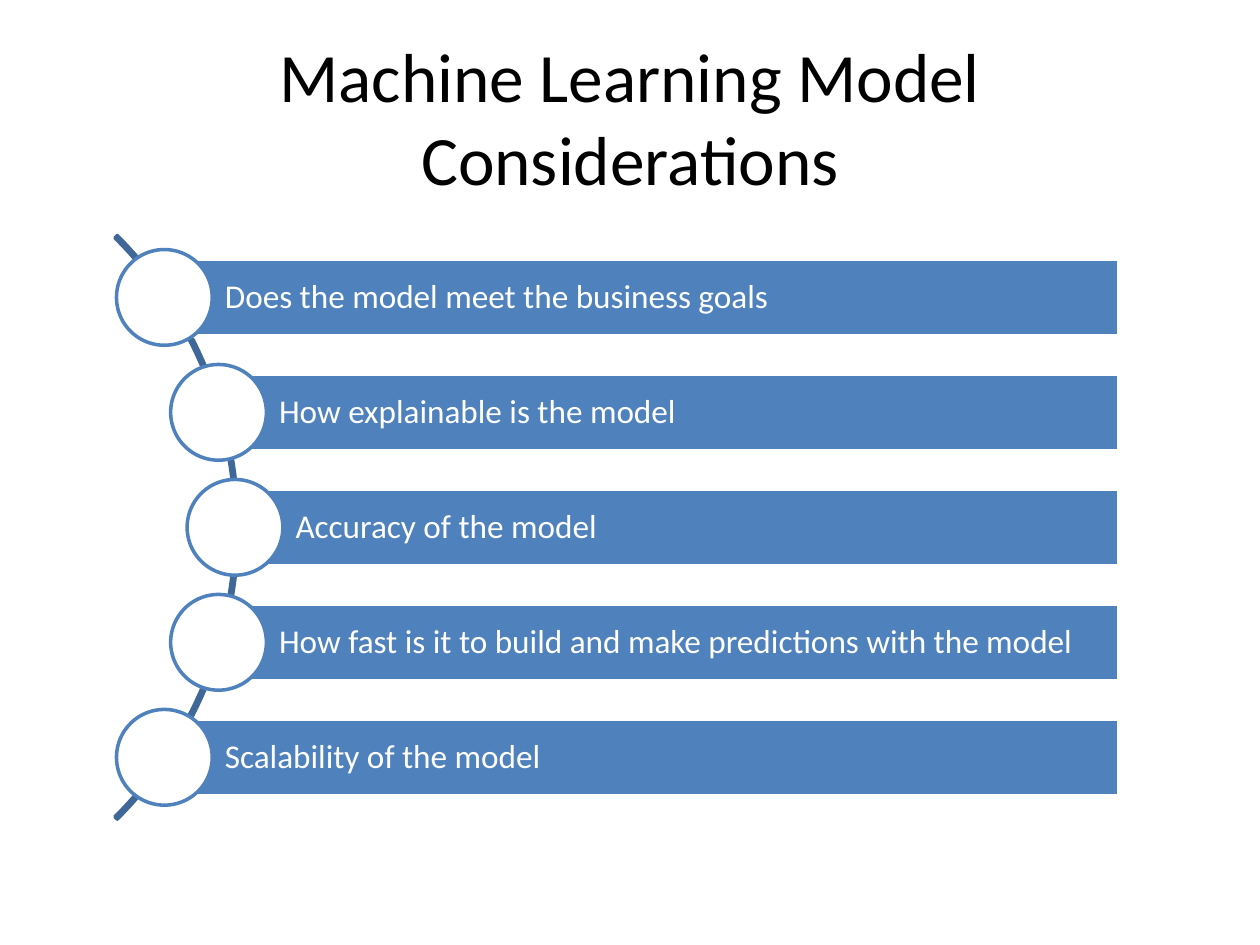
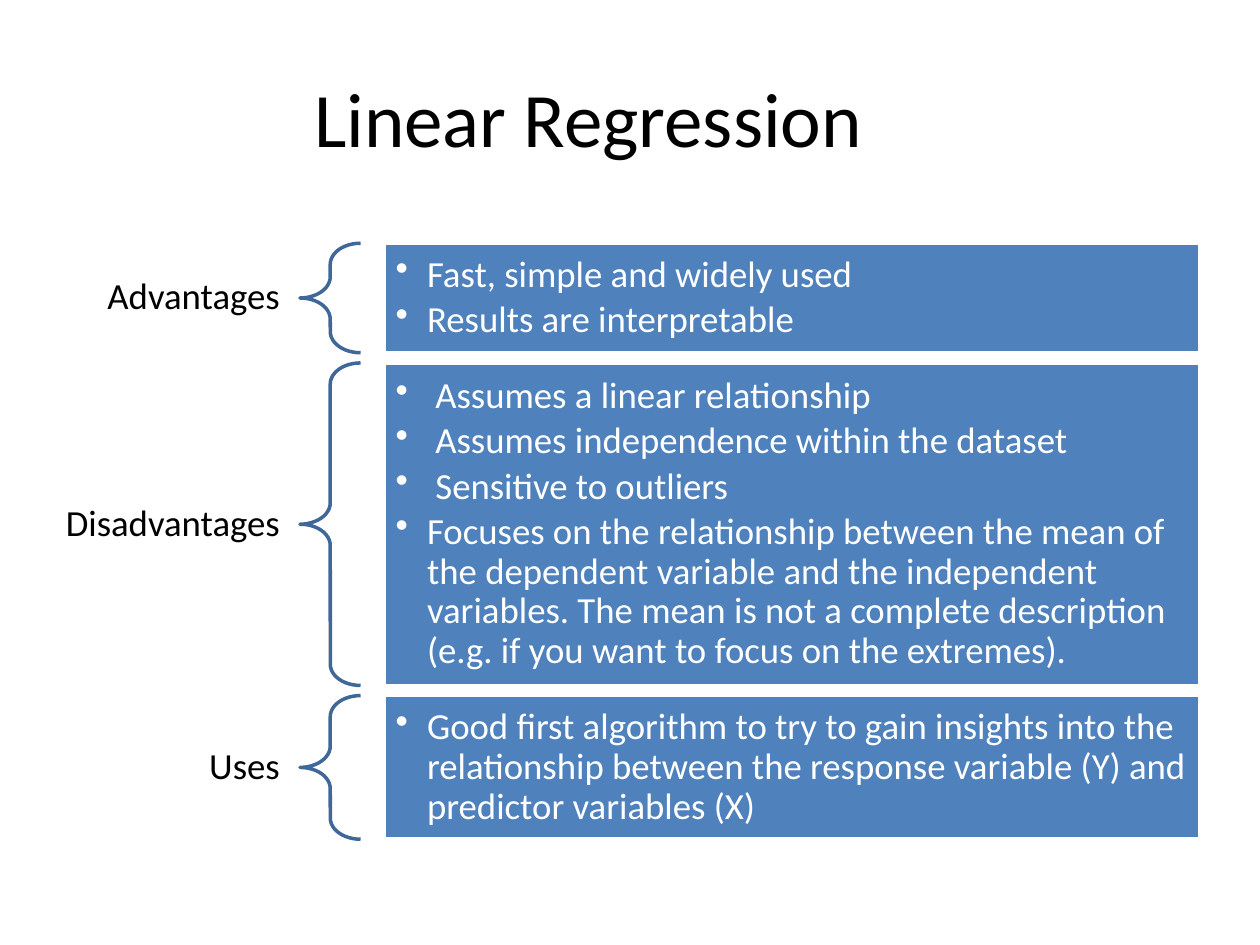
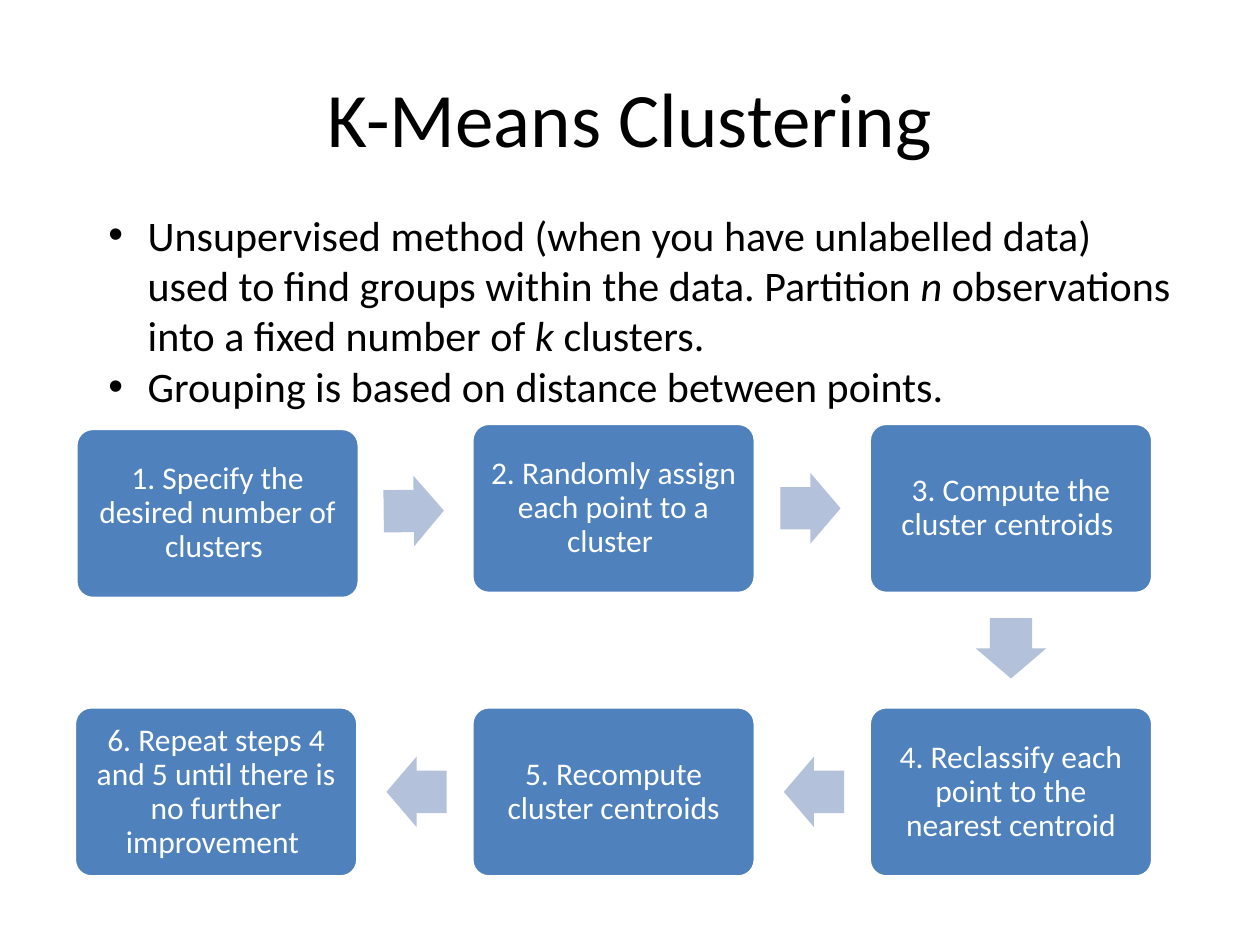
import math
import pptx
import pptx.dml.color
import pptx.enum.shapes
import pptx.enum.text
import pptx.util
from pptx.oxml.ns import qn

Pt = pptx.util.Pt
FORM = pptx.enum.shapes.MSO_SHAPE
ALIGN = pptx.enum.text.PP_ALIGN
ANCHOR = pptx.enum.text.MSO_ANCHOR
FIT = pptx.enum.text.MSO_AUTO_SIZE

HUES = {"ink": "000000", "paper": "FFFFFF", "blue": "4F81BD",
        "dark": "3F6797", "pale": "B3C1DB"}
FONT = "Calibri"
TITLE = (36, 21.6, 648, 90)

GOALS = ["Does the model meet the business goals",
         "How explainable is the model",
         "Accuracy of the model",
         "How fast is it to build and make predictions with the model",
         "Scalability of the model"]

# Label, row height, points
TRAITS = [
    ("Advantages", 62.6, ["Fast, simple and widely used",
                          "Results are interpretable"]),
    ("Disadvantages", 184.3, [
        " Assumes a linear relationship",
        " Assumes independence within the dataset",
        " Sensitive to outliers",
        "Focuses on the relationship between the mean of the dependent "
        "variable and the independent variables. The mean is not a complete "
        "description (e.g. if you want to focus on the extremes)."]),
    ("Uses", 82.1, [
        "Good first algorithm to try to gain insights into the relationship "
        "between the response variable (Y) and predictor variables (X)"]),
]

# Runs of each point; single letters are variables
NOTES = [
    ["Unsupervised method (when you have unlabelled data) used to find "
     "groups within the data. Partition ", "n",
     " observations into a fixed number of ", "k", " clusters."],
    ["Grouping is based on distance between points."],
]

STEPS = ["1. Specify the desired number of clusters ",
         "2. Randomly assign each point to a cluster ",
         "3. Compute the cluster centroids ",
         "4. Reclassify each point to the nearest centroid",
         "5. Recompute cluster centroids",
         "6. Repeat steps 4 and 5 until there is no further improvement "]


# Shared helpers
def hue(name):
    return pptx.dml.color.RGBColor.from_string(HUES[name])


def place(item, box):
    item.left, item.top, item.width, item.height = map(Pt, box)


def draw(slide, form, box, fill=None, line=None, bends=()):
    shape = slide.shapes.add_shape(form, *map(Pt, box))
    shape.shadow.inherit = False
    for i, bend in enumerate(bends):
        shape.adjustments[i] = bend
    if fill:
        shape.fill.solid()
        shape.fill.fore_color.rgb = hue(fill)
    else:
        shape.fill.background()
    if line:
        shape.line.color.rgb = hue(line)
        shape.line.width = Pt(2)
    else:
        shape.line.fill.background()
    return shape


def style(frame, size, color, align, pad, space=0.9, after=0):
    frame.word_wrap = True
    frame.auto_size = FIT.NONE
    frame.vertical_anchor = ANCHOR.MIDDLE
    (frame.margin_left, frame.margin_top,
     frame.margin_right, frame.margin_bottom) = map(Pt, pad)
    for para in frame.paragraphs:
        para.alignment = align
        para.line_spacing = space
        para.space_before = Pt(0)
        para.space_after = Pt(after)
        for run in para.runs:
            run.font.name = FONT
            run.font.size = Pt(size)
            run.font.color.rgb = hue(color)


def bullet(frame, indent):
    for para in frame.paragraphs:
        props = para._p.get_or_add_pPr()
        props.set("marL", str(Pt(indent)))
        props.set("indent", str(-Pt(indent)))
        mark = props.makeelement(qn("a:buChar"), {"char": "•"})
        props.append(mark)


def start(deck, layout, text, size=44, right=7.2):
    slide = deck.slides.add_slide(deck.slide_layouts[layout])
    title = slide.shapes.title
    place(title, TITLE)
    title.text_frame.text = text
    style(title.text_frame, size, "ink", ALIGN.CENTER,
          (7.2, 3.6, right, 3.6), space=1)
    return slide


# Bars strung along an arc
def arc_list(slide, box, items):
    left, top, width, height = box
    pitch, bar, dot = 65.7, 43.9, 54.7
    radius, reach = 235.8, 234
    mid_x, mid_y = left - 165.7, top + height / 2
    draw(slide, FORM.BLOCK_ARC,
         (mid_x - radius, mid_y - radius, 2 * radius, 2 * radius),
         line="dark", bends=(189, 27, 0.004))
    for i, text in enumerate(items):
        rise = (i - (len(items) - 1) / 2) * pitch
        x = mid_x + math.sqrt(reach ** 2 - rise ** 2)
        y = mid_y + rise
        band = draw(slide, FORM.RECTANGLE,
                    (x, y - bar / 2, left + width - x, bar), "blue", "paper")
        band.text_frame.text = text
        style(band.text_frame, 19, "paper", ALIGN.LEFT, (34.6, 3.6, 3.6, 3.6))
        draw(slide, FORM.OVAL, (x - dot / 2, y - dot / 2, dot, dot),
             "paper", "blue")


# Label, brace and panel in each row
def brace_list(slide, box, rows):
    left, top, width, _ = box
    label_w, label_h, brace_w, inset, gap = 171.4, 32.4, 34.6, 219.6, 5.8
    for name, height, points in rows:
        label = slide.shapes.add_textbox(*map(Pt, (
            left, top + (height - label_h) / 2, label_w, label_h)))
        label.text_frame.text = name
        style(label.text_frame, 21, "ink", ALIGN.RIGHT, (11.5, 4.3, 11.5, 4.3))
        draw(slide, FORM.LEFT_BRACE, (left + label_w, top, brace_w, height),
             line="dark", bends=(0.35, 0.5))
        panel = draw(slide, FORM.RECTANGLE,
                     (left + inset, top, width - inset, height),
                     "blue", "paper")
        panel.text_frame.text = "\n".join(points)
        style(panel.text_frame, 21, "paper", ALIGN.LEFT, (6.5,) * 4,
              after=3.15)
        bullet(panel.text_frame, 18)
        top += height + gap


# Bulleted summary
def summary(slide, box, points):
    body = slide.placeholders[1]
    place(body, box)
    frame = body.text_frame
    for i, parts in enumerate(points):
        para = frame.add_paragraph() if i else frame.paragraphs[0]
        for part in parts:
            run = para.add_run()
            run.text = part
            run.font.italic = len(part) == 1
    style(frame, 24, "ink", ALIGN.LEFT, (7.2, 3.6, 7.2, 3.6), space=1)
    frame.vertical_anchor = ANCHOR.TOP
    bullet(frame, 22.5)


# Steps that run right, down and back left
def flow(slide, box, items):
    left, top, width, height = box
    wide, high, cols = 162, 97.2, 3
    pitch = (width - wide) / (cols - 1)
    spots = []
    for i in range(len(items)):
        row, col = divmod(i, cols)
        if row % 2:
            col = cols - 1 - col
        spots.append((left + col * pitch, top + row * (height - high)))
    spots[0] = (left + 0.8, top + 2.9)

    for (x, y), text in zip(spots, items):
        step = draw(slide, FORM.ROUNDED_RECTANGLE, (x, y, wide, high),
                    "blue", "paper", (0.1,))
        step.text_frame.text = text
        style(step.text_frame, 18, "paper", ALIGN.CENTER, (8,) * 4)

    # Arrows sit just short of halfway and point to the next step
    long, thick, back = 34.4, 40.3, 1
    for (x1, y1), (x2, y2) in zip(spots, spots[1:]):
        turn = math.atan2(y2 - y1, x2 - x1)
        x = (x1 + x2 + wide) / 2 - back * math.cos(turn)
        y = (y1 + y2 + high) / 2 - back * math.sin(turn)
        arrow = draw(slide, FORM.RIGHT_ARROW,
                     (x - long / 2, y - thick / 2, long, thick),
                     "pale", bends=(0.6, 0.5))
        arrow.rotation = math.degrees(turn) % 360


def main():
    deck = pptx.Presentation()
    deck.slide_width, deck.slide_height = Pt(720), Pt(540)

    slide = start(deck, 5, "Machine Learning Model Considerations", 39.6)
    arc_list(slide, (66, 142.6, 573.5, 317.5), GOALS)

    slide = start(deck, 5, "Linear Regression", right=54.7)
    brace_list(slide, (0, 139, 685.4, 340.6), TRAITS)

    slide = start(deck, 1, "K-Means Clustering")
    flow(slide, (42.5, 241.9, 616.2, 259.2), STEPS)
    summary(slide, (54.7, 115.9, 626.4, 123.8), NOTES)

    deck.save("out.pptx")


if __name__ == "__main__":
    main()
